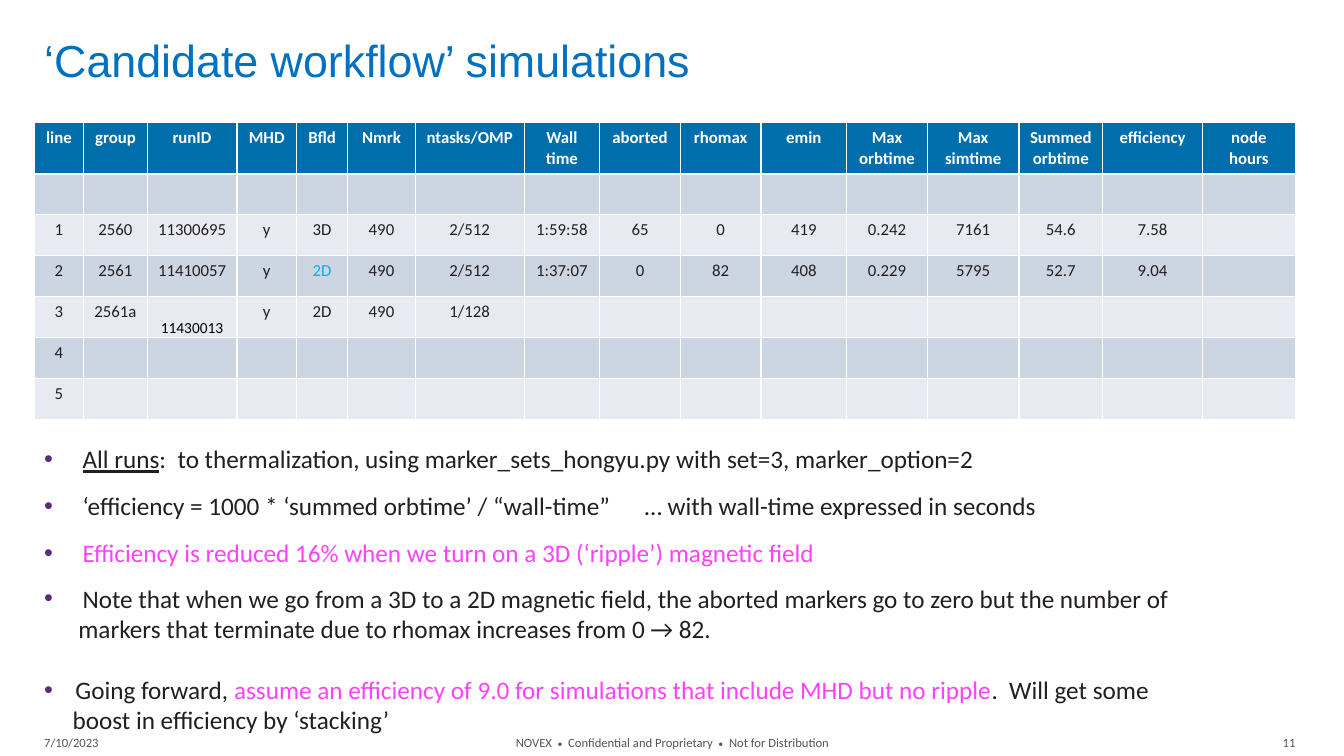
from lxml.etree import SubElement
from pptx import Presentation
from pptx.dml.color import RGBColor
from pptx.enum.text import MSO_ANCHOR, PP_ALIGN
from pptx.oxml.ns import qn
from pptx.util import Pt

COLORS = {
    "title": "0070C0", "header": "006EAB", "white": "FFFFFF", "black": "000000",
    "band_dark": "CCD5E2", "band_light": "E7EBF1", "body": "231F20",
    "footer": "555556", "bullet": "5D2881", "pink": "FF41FB", "cyan": "00B0F0",
}
COLUMN_WIDTHS = [35.3, 45.4, 64.1, 42.5, 36.7, 48.2, 77.8, 54, 57.6, 57.6,
                 61.2, 57.6, 65.5, 59.8, 71.3, 66.2]
HEADERS = ["line", "group", "runID", "MHD", "Bfld", "Nmrk", "ntasks/OMP", "Wall time",
           "aborted", "rhomax", "emin", "Max\norbtime", "Max\nsimtime",
           "Summed orbtime", "efficiency", "node hours"]
RUNS = [
    [],
    ["1", "2560", "11300695", "y", "3D", "490", "2/512", "1:59:58", "65", "0",
     "419", "0.242", "7161", "54.6", "7.58"],
    ["2", "2561", "11410057", "y", "2D", "490", "2/512", "1:37:07", "0", "82",
     "408", "0.229", "5795", "52.7", "9.04"],
    ["3", "2561a", "11430013", "y", "2D", "490", "1/128"],
    ["4"],
    ["5"],
]
SPECIAL_FORMATS = {(3, 4): {"color": "cyan"}, (4, 2): {"size": 11, "color": "black"}}
PINK = {"color": "pink"}
NOTES = [
    (27.4, True, 12, [
        ("All runs", {"underline": True}),
        (":  to thermalization, using marker_sets_hongyu.py with set=3, marker_option=2", {})]),
    (27.4, True, 12, [
        ("‘efficiency = 1000 * ‘summed orbtime’ / “wall-time”", {}),
        (" ", {"spacing": 20.3}),
        ("… with wall-time expressed in seconds", {})]),
    (27.4, True, 11, [
        ("Efficiency is reduced 16% when we turn on a 3D (‘ripple’) magnetic field", PINK)]),
    (27.4, True, 0, [
        ("Note that when we go from a 3D to a 2D magnetic field, the aborted markers "
         "go to zero but the number of", {})]),
    (24.4, False, 22, [
        ("markers that terminate due to rhomax increases from 0 → 82.", {})]),
    (22.3, True, 0, [
        ("Going forward, ", {}),
        ("assume an efficiency of 9.0 for simulations that include MHD but no ripple", PINK),
        (".  Will get some", {})]),
    (20.3, False, 0, [("boost in efficiency by ‘stacking’", {})]),
]
FOOTER_RUNS = [("NOVEX  ", 9), ("•", 7), ("  Confidential and Proprietary  ", 9),
               ("•", 7), ("  Not for Distribution", 9)]


def write(paragraph, text, size=18, color="body", font="Calibri", bold=False,
          underline=False, spacing=0):
    """Append a formatted run to a paragraph."""
    run = paragraph.add_run()
    run.text = text
    run.font.size = Pt(size)
    run.font.name = font
    run.font.bold = bold
    run.font.underline = underline
    run.font.color.rgb = RGBColor.from_string(COLORS[color])
    if spacing:
        run.font._element.set("spc", str(round(spacing * 100)))


class SlideBuilder:
    """Hold the style and the current slide."""

    def __init__(self, presentation):
        """Add a blank slide."""
        self.slide = presentation.slides.add_slide(presentation.slide_layouts[6])

    def text_box(self, left, top, width, height, anchor=MSO_ANCHOR.TOP, inset=3.6):
        """Add a wrapping text box and return its frame."""
        shape = self.slide.shapes.add_textbox(Pt(left), Pt(top), Pt(width), Pt(height))
        frame = shape.text_frame
        frame.word_wrap = True
        frame.vertical_anchor = anchor
        frame.margin_top = frame.margin_bottom = Pt(inset)
        return frame

    def title(self, text):
        """Add the slide title."""
        paragraph = self.text_box(24.5, 23.8, 843.8, 49.7).paragraphs[0]
        paragraph.line_spacing = 0.9
        write(paragraph, text, size=32, color="title", font="Arial")

    def footer(self, left, width, alignment, runs):
        """Add one part of the footer."""
        paragraph = self.text_box(left, 519.8, width, 20.9, MSO_ANCHOR.MIDDLE, 0).paragraphs[0]
        paragraph.alignment = alignment
        for text, size in runs:
            write(paragraph, text, size=size, color="footer")

    def bullet(self, paragraph, indent, marked):
        """Indent a paragraph and give it a coloured bullet if marked."""
        properties = paragraph._p.get_or_add_pPr()
        properties.set("marL", str(Pt(indent)))
        if marked:
            properties.set("indent", str(-Pt(indent)))
            color = SubElement(properties, qn("a:buClr"))
            SubElement(color, qn("a:srgbClr")).set("val", COLORS["bullet"])
            SubElement(properties, qn("a:buFont")).set("typeface", "Arial")
            SubElement(properties, qn("a:buChar")).set("char", "•")

    def notes(self, notes):
        """Add the bulleted notes."""
        frame = self.text_box(24.5, 313.2, 886, 205)
        for index, (indent, marked, gap, runs) in enumerate(notes):
            paragraph = frame.add_paragraph() if index else frame.paragraphs[0]
            paragraph.space_after = Pt(gap)
            self.bullet(paragraph, indent, marked)
            for text, style in runs:
                write(paragraph, text, **style)

    def cell(self, cell, text, fill, **style):
        """Fill a table cell and write its centred lines."""
        cell.fill.solid()
        cell.fill.fore_color.rgb = RGBColor.from_string(COLORS[fill])
        for index, line in enumerate(text.split("\n") if text else []):
            frame = cell.text_frame
            paragraph = frame.add_paragraph() if index else frame.paragraphs[0]
            paragraph.alignment = PP_ALIGN.CENTER
            write(paragraph, line, **{"size": 12, **style})

    def run_table(self, headers, runs):
        """Add the table of simulation runs."""
        table = self.slide.shapes.add_table(
            len(runs) + 1, len(headers), Pt(24.5), Pt(87.8), Pt(900), Pt(211.7)).table
        for column, width in zip(table.columns, COLUMN_WIDTHS):
            column.width = Pt(width)
        for row in table.rows:
            row.height = Pt(29.2)
        table.rows[0].height = Pt(36.5)
        for column, header in enumerate(headers):
            self.cell(table.cell(0, column), header, "header", color="white", bold=True)
        for row, values in enumerate(runs, 1):
            fill = "band_dark" if row % 2 else "band_light"
            padded = values + [""] * (len(headers) - len(values))
            for column, text in enumerate(padded):
                style = SPECIAL_FORMATS.get((row, column), {})
                self.cell(table.cell(row, column), text, fill, **style)
        low_cell = table.cell(4, 2)
        low_cell.vertical_anchor = MSO_ANCHOR.BOTTOM
        low_cell.margin_left = low_cell.margin_right = low_cell.margin_top = Pt(0.72)
        low_cell.margin_bottom = Pt(0)


def main():
    """Build and save the slide."""
    presentation = Presentation()
    presentation.slide_width = Pt(960)
    presentation.slide_height = Pt(540)
    builder = SlideBuilder(presentation)
    builder.footer(24.5, 339.8, PP_ALIGN.LEFT, [("7/10/2023", 9)])
    builder.footer(794.9, 137.5, PP_ALIGN.RIGHT, [("11", 9)])
    builder.footer(310.3, 339.8, PP_ALIGN.CENTER, FOOTER_RUNS)
    builder.title("‘Candidate workflow’ simulations")
    builder.notes(NOTES)
    builder.run_table(HEADERS, RUNS)
    presentation.save("out.pptx")


if __name__ == "__main__":
    main()
